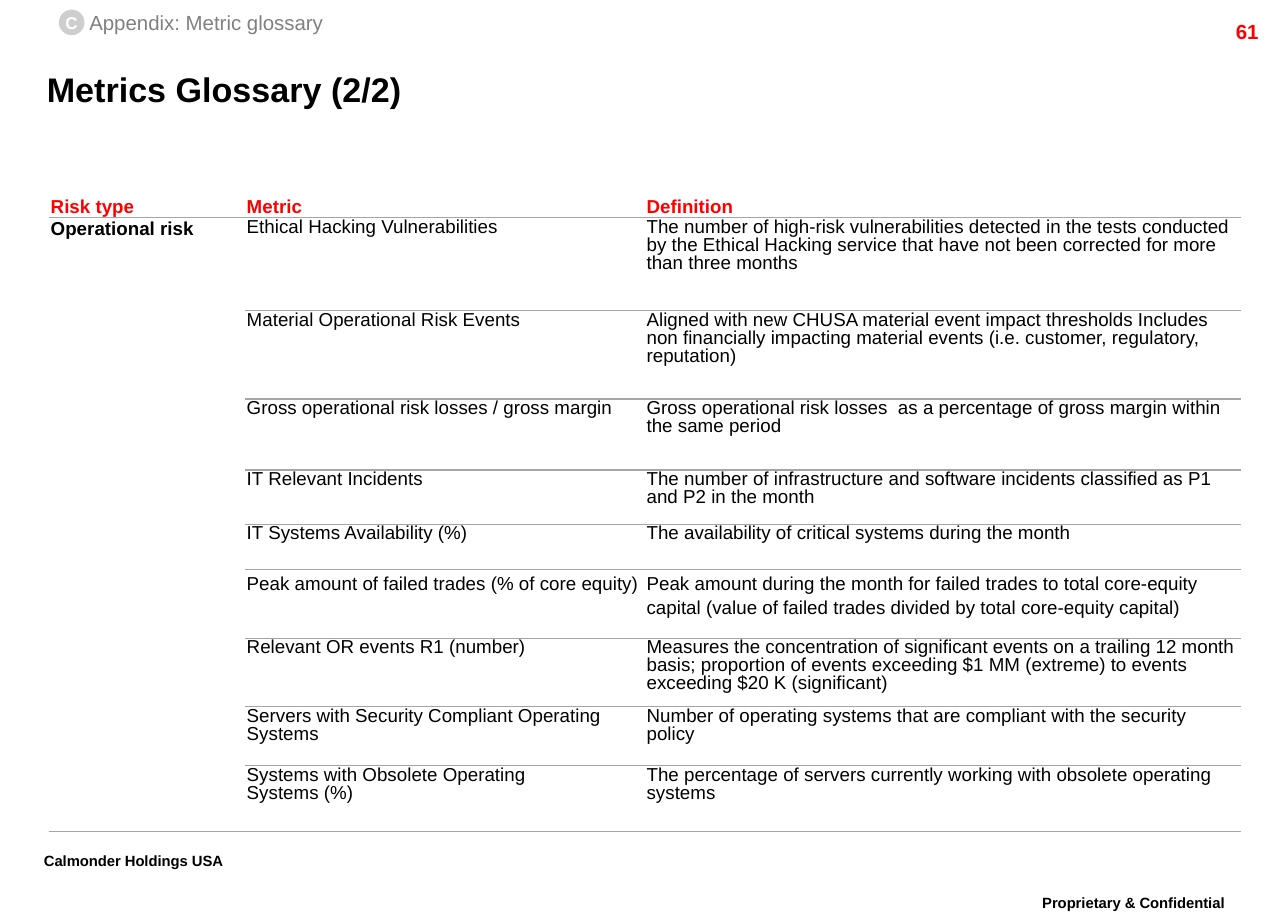
from lxml.etree import SubElement
from pptx import Presentation
from pptx.dml.color import RGBColor
from pptx.enum.shapes import MSO_SHAPE
from pptx.enum.text import MSO_ANCHOR, PP_ALIGN
from pptx.oxml import parse_xml
from pptx.oxml.ns import nsdecls, qn
from pptx.util import Cm, Pt

HUES = {"black": "000000", "red": "FF0000", "gray": "808080",
        "rule": "A5A5A5", "disc": "CECECE", "white": "FFFFFF"}
BARE = "{2D5ABB26-0587-4C30-8999-92F81FD0307C}"  # table style without lines
COLS = [4.06, 8.28, 12.34]
HEADS = ["Risk type", "Metric", "Definition"]
# Height, metric, definition, line spacing
ROWS = [
    (1.93, "Ethical Hacking Vulnerabilities",
     "The number of high-risk vulnerabilities detected in the tests conducted by the "
     "Ethical Hacking service that have not been corrected for more than three months", 0.86),
    (1.83, "Material Operational Risk Events",
     "Aligned with new CHUSA material event impact thresholds Includes non financially "
     "impacting material events (i.e. customer, regulatory, reputation)", 0.86),
    (1.47, "Gross operational risk losses / gross margin",
     "Gross operational risk losses  as a percentage of gross margin within the same period",
     0.86),
    (1.12, "IT Relevant Incidents",
     "The number of infrastructure and software incidents classified as P1 and P2 in the month",
     0.86),
    (0.94, "IT Systems Availability (%)",
     "The availability of critical systems during the month", 0.86),
    (1.42, "Peak amount of failed trades (% of core equity)",
     "Peak amount during the month for failed trades to total core-equity capital "
     "(value of failed trades divided by total core-equity capital)", 1.15),
    (1.42, "Relevant OR events R1 (number)",
     "Measures the concentration of significant events on a trailing 12 month basis; "
     "proportion of events exceeding $1 MM (extreme) to events exceeding $20 K (significant)",
     0.86),
    (1.22, "Servers with Security Compliant Operating Systems",
     "Number of operating systems that are compliant with the security policy", 0.86),
    (1.36, "Systems with Obsolete Operating \nSystems (%)",
     "The percentage of servers currently working with obsolete operating systems", 0.86),
]


def color(name):
    return RGBColor.from_string(HUES[name])


def write(frame, words, size, hue, bold=False, align=PP_ALIGN.LEFT, space=None):
    para = frame.paragraphs[0]
    para.text = words
    para.alignment = align
    para.line_spacing = space
    font = para.font
    font.name, font.size, font.bold = "Arial", Pt(size), bold
    font.color.rgb = color(hue)
    return para


def label(slide, box, words, size, hue, bold=False, align=PP_ALIGN.LEFT,
          inset=0.0, wrap=True, anchor=MSO_ANCHOR.MIDDLE, space=None):
    frame = slide.shapes.add_textbox(*map(Cm, box)).text_frame
    frame.word_wrap = wrap
    frame.vertical_anchor = anchor
    frame.margin_left = frame.margin_right = Cm(inset)
    frame.margin_top = frame.margin_bottom = Cm(inset / 2)
    return write(frame, words, size, hue, bold, align, space)


def footer(slide, box, words, align):
    para = label(slide, box, words, 15, "black", True, align, 0.25, False,
                 MSO_ANCHOR.TOP, 0.86)
    # Raised text
    para.runs[0]._r.get_or_add_rPr().set("baseline", "30000")


def badge(slide, box, words):
    disc = slide.shapes.add_shape(MSO_SHAPE.OVAL, *map(Cm, box))
    disc.shadow.inherit = False
    disc.fill.solid()
    disc.fill.fore_color.rgb = color("disc")
    disc.line.fill.background()
    frame = disc.text_frame
    frame.word_wrap = False
    frame.vertical_anchor = MSO_ANCHOR.MIDDLE
    write(frame, words, 10, "white", True, PP_ALIGN.CENTER)


def rule(cell):
    line = parse_xml(f'<a:lnB {nsdecls("a")} w="9525"/>')
    fill = SubElement(line, qn("a:solidFill"))
    SubElement(fill, qn("a:srgbClr")).set("val", HUES["rule"])
    cell._tc.get_or_add_tcPr().insert(0, line)


def entry(cell, words, hue="black", bold=False, space=0.86, anchor=MSO_ANCHOR.TOP):
    cell.margin_left = cell.margin_right = cell.margin_top = Cm(0.03)
    cell.margin_bottom = 0
    cell.vertical_anchor = anchor
    cell.fill.background()
    write(cell.text_frame, words, 11, hue, bold, space=space)
    rule(cell)


def glossary(slide):
    sizes = [0.43] + [row[0] for row in ROWS]
    shape = slide.shapes.add_table(len(sizes), len(COLS), Cm(1.02), Cm(4.07),
                                   Cm(sum(COLS)), Cm(sum(sizes)))
    table = shape.table
    table.first_row = table.horz_banding = False
    table._tbl.tblPr[0].text = BARE
    for col, wide in zip(table.columns, COLS):
        col.width = Cm(wide)
    for row, high in zip(table.rows, sizes):
        row.height = Cm(high)
    # Heads
    for col, words in enumerate(HEADS):
        entry(table.cell(0, col), words, "red", True, anchor=MSO_ANCHOR.BOTTOM)
    # Risk type over all rows
    table.cell(1, 0).merge(table.cell(len(ROWS), 0))
    entry(table.cell(1, 0), "Operational risk", bold=True, space=1.0)
    # Metrics
    for num, (_, name, sense, space) in enumerate(ROWS, 1):
        entry(table.cell(num, 1), name, space=space)
        entry(table.cell(num, 2), sense, space=space)


def main():
    deck = Presentation()
    deck.slide_width, deck.slide_height = Cm(26.67), Cm(19.05)
    slide = deck.slides.add_slide(deck.slide_layouts[6])
    # Footers and page number
    footer(slide, (20.7, 18.42, 5.54, 0.89), "Proprietary & Confidential", PP_ALIGN.CENTER)
    footer(slide, (0.66, 17.55, 4.85, 0.89), "Calmonder Holdings USA", PP_ALIGN.LEFT)
    label(slide, (23.77, 0.28, 2.54, 0.61), "61", 12, "red", True, PP_ALIGN.RIGHT,
          0.25, anchor=MSO_ANCHOR.TOP)
    # Title and table
    label(slide, (0.97, 1.24, 24.08, 1.22), "Metrics Glossary (2/2)", 20, "black", True)
    glossary(slide)
    # Section mark
    badge(slide, (1.22, 0.2, 0.53, 0.53), "C")
    label(slide, (1.85, 0.2, 4.88, 0.51), "Appendix: Metric glossary", 12, "gray", wrap=False)
    deck.save("out.pptx")


if __name__ == "__main__":
    main()
